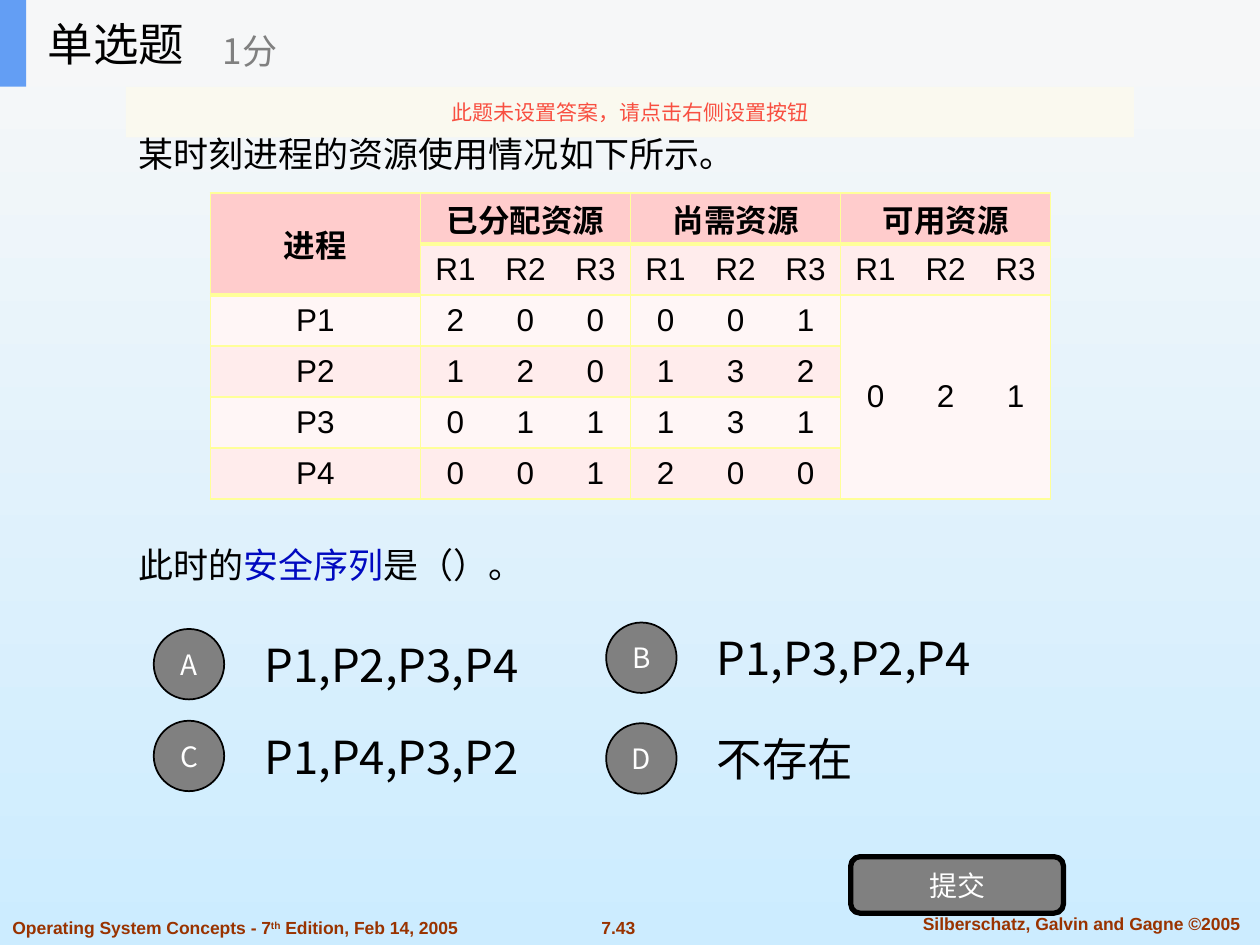
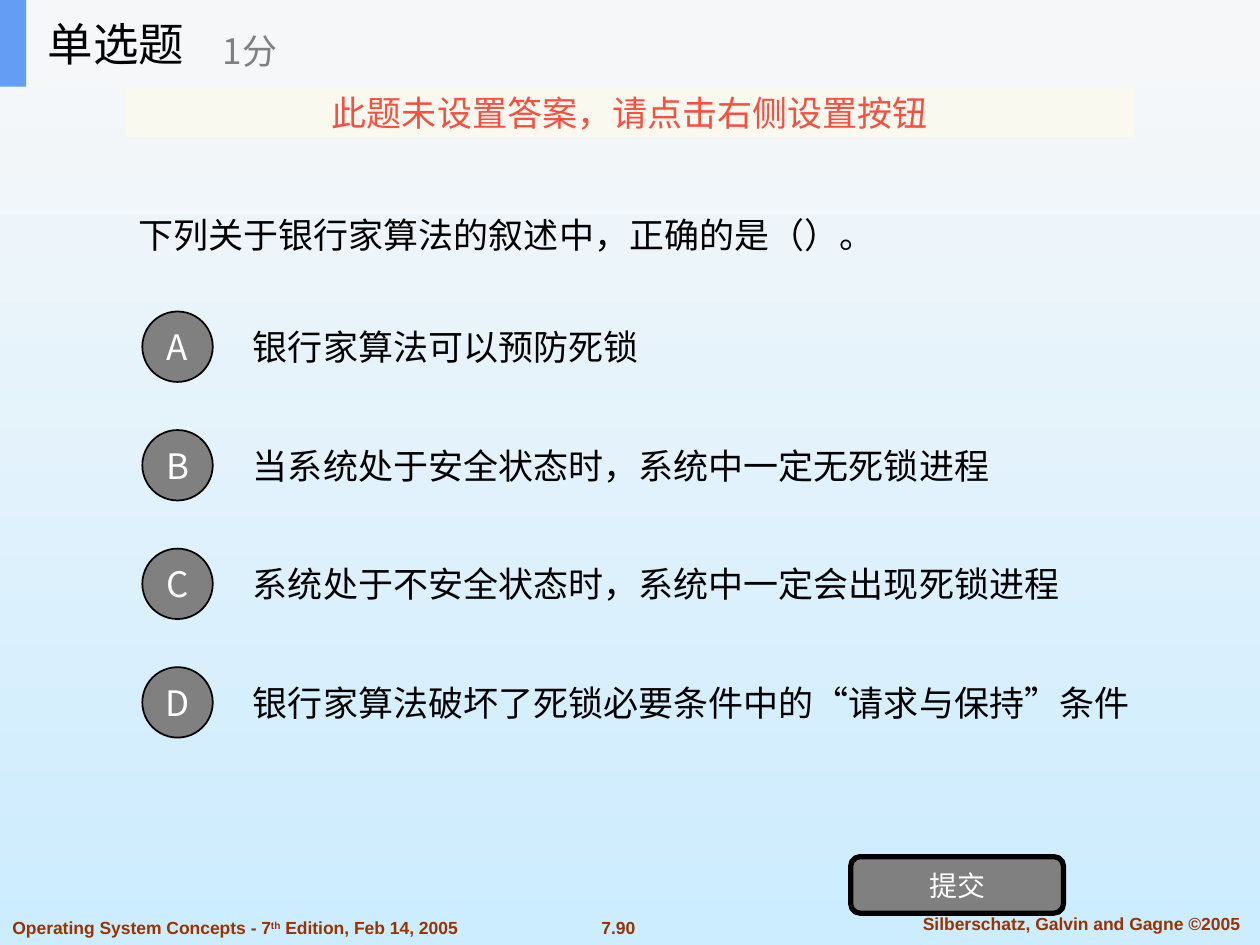
from lxml.etree import SubElement
from pptx import Presentation
from pptx.dml.color import RGBColor
from pptx.enum.shapes import MSO_SHAPE
from pptx.enum.text import MSO_ANCHOR, PP_ALIGN
from pptx.oxml.ns import qn
from pptx.util import Cm, Pt

RECT, ROUND, OVAL = MSO_SHAPE.RECTANGLE, MSO_SHAPE.ROUNDED_RECTANGLE, MSO_SHAPE.OVAL
LEFT, CENTER = PP_ALIGN.LEFT, PP_ALIGN.CENTER
TOP, MIDDLE = MSO_ANCHOR.TOP, MSO_ANCHOR.MIDDLE

SANS, ARIAL = "Noto Sans CJK SC", "Arial"
BLACK, WHITE, GRAY = "000000", "FFFFFF", "808080"
BROWN, BLUE, RED = "993300", "0009C0", "F84F41"
BAND, BAR, CREAM = "F6F7F8", "639EF4", "FBFAEF"
PINK, PALE, FAINT, YELLOW = "FFCCCC", "FFECEC", "FFF6F6", "FFFF99"

WARNING = "此题未设置答案，请点击右侧设置按钮"
NEEDS = "\tR1\tR2\tR3"
ROWS = [
    ["进程", "已分配资源", "尚需资源", "可用资源"],
    ["", NEEDS, NEEDS, NEEDS],
    ["P1", "\t2\t0\t0", "\t0\t0\t1", "\t0\t2\t1"],
    ["P2", "\t1\t2\t0", "\t1\t3\t2", ""],
    ["P3", "\t0\t1\t1", "\t1\t3\t1", ""],
    ["P4", "\t0\t0\t1", "\t2\t0\t0", ""],
]
CHOICES = [
    ("A", "P1,P2,P3,P4", 3.1, 12.5, 5.9),
    ("B", "P1,P3,P2,P4", 12.22, 12.37, 5.9),
    ("C", "P1,P4,P3,P2", 3.1, 14.35, 5.9),
    ("D", "不存在", 12.22, 14.4, 3.43),
]
CLAIMS = [
    ("A", "银行家算法可以预防死锁", 17.78),
    ("B", "当系统处于安全状态时，系统中一定无死锁进程", 17.78),
    ("C", "系统处于不安全状态时，系统中一定会出现死锁进程", 17.78),
    ("D", "银行家算法破坏了死锁必要条件中的“请求与保持”条件", 19.08),
]


def hue(code):
    return RGBColor.from_string(code)


def style(para, size, color=BLACK, face=SANS, bold=False, align=LEFT):
    para.alignment = align
    font = para.font
    font.size, font.bold, font.name = Pt(size), bold, face
    font.color.rgb = hue(color)
    SubElement(para._p.pPr.find(qn("a:defRPr")), qn("a:ea"), typeface=SANS)


def fill_text(shape, text, size, color=BLACK, anchor=MIDDLE, wrap=True, **look):
    frame = shape.text_frame
    frame.word_wrap, frame.vertical_anchor = wrap, anchor
    frame.text = text
    style(frame.paragraphs[0], size, color, **look)
    return frame


def add_text(slide, box, text, size, color=BLACK, **look):
    shape = slide.shapes.add_textbox(*map(Cm, box))
    return fill_text(shape, text, size, color, **look)


def add_block(slide, kind, box, fill, edge=0):
    """Add a filled preset shape; edge is the width of its black line."""
    shape = slide.shapes.add_shape(kind, *map(Cm, box))
    shape.shadow.inherit = False
    shape.fill.solid()
    shape.fill.fore_color.rgb = hue(fill)
    if edge:
        shape.line.color.rgb = hue(BLACK)
        shape.line.width = Pt(edge)
    else:
        shape.line.fill.background()
    return shape


def add_head(slide, x, y, w, h):
    add_block(slide, RECT, (x, y, w, h), BAND)
    add_block(slide, RECT, (x, y, 0.53, h), BAR)
    title = slide.shapes.title
    title.left, title.top, title.width, title.height = map(Cm, (x + 0.71, y, 5.28, h))
    fill_text(title, "单选题", 26, wrap=False)
    title.element.getparent().append(title.element)  # in front of the band
    add_text(slide, (x + 4.24, y + 0.3, 6.35, 1.42), "1分", 20, GRAY, wrap=False)


def add_banner(slide, box, size):
    banner = add_block(slide, RECT, box, CREAM)
    tint = banner.element.spPr.find(".//" + qn("a:srgbClr"))
    SubElement(tint, qn("a:alpha"), val="90000")
    fill_text(banner, WARNING, size, RED, wrap=False, align=CENTER)


def add_foot(slide, y, page):
    look = dict(size=10, color=BROWN, face=ARIAL, bold=True)
    book = add_text(slide, (0, y, 10.64, 0.69), "Operating System Concepts - 7",
                    wrap=False, **look).paragraphs[0]
    raised = book.add_run()
    raised.text = "th"
    raised.font._element.set("baseline", "30000")
    book.add_run().text = " Edition, Feb 14, 2005"
    add_text(slide, (11.79, y, 1.35, 0.69), page, wrap=False, align=CENTER, **look)
    add_text(slide, (18.03, y - 0.08, 7.54, 0.69),
             "Silberschatz, Galvin and Gagne ©2005", align=CENTER, **look)


def add_frame(deck, page, size):
    """Start a question slide with its head, banner, button and footer."""
    slide = deck.slides.add_slide(deck.slide_layouts[5])
    add_head(slide, 0, 0, 25.4, 1.75)
    add_banner(slide, (2.54, 1.75, 20.32, 1.02), size)
    button = add_block(slide, ROUND, (17.15, 17.27, 4.29, 1.14), GRAY, 3)
    fill_text(button, "提交", 16, WHITE, wrap=False, align=CENTER)
    add_foot(slide, 18.36, page)
    return slide


def add_option(slide, x, y, w, mark, text, mark_size, size):
    disc = add_block(slide, OVAL, (x, y + 0.18, 1.42, 1.42), GRAY, 1)
    fill_text(disc, mark, mark_size, WHITE, wrap=False, align=CENTER)
    add_text(slide, (x + 1.98, y, w, 1.78), text, size)


def is_head(row, col):
    return row == 0 or (row, col) == (1, 0)


def edge_cell(cell, row, col):
    """Draw the cell borders, thick between head and body cells."""
    under = row > 0 and is_head(row - 1, col) and not is_head(row, col)
    widths = {"L": 1, "R": 1, "T": 3 if under else 1,
              "B": 3 if is_head(row, col) else 1}
    props = cell._tc.get_or_add_tcPr()
    for side, width in widths.items():
        line = SubElement(props, qn("a:ln" + side), w=str(Pt(width)))
        paint = SubElement(line, qn("a:solidFill"))
        SubElement(paint, qn("a:srgbClr"), val=YELLOW)


def set_tabs(para, width):
    """Centre three values in equal thirds of the cell."""
    stops = SubElement(para._p.get_or_add_pPr(), qn("a:tabLst"))
    for part in (1, 3, 5):
        SubElement(stops, qn("a:tab"), pos=str(int(width * part / 6)), algn="ctr")


def add_grid(slide, x, y, w, h):
    rows, cols = len(ROWS), len(ROWS[0])
    grid = slide.shapes.add_table(rows, cols, *map(Cm, (x, y, w, h))).table
    for r, texts in enumerate(ROWS):
        for c, text in enumerate(texts):
            cell = grid.cell(r, c)
            edge_cell(cell, r, c)
            cell.fill.solid()
            shade = PINK if is_head(r, c) else PALE if r % 2 else FAINT
            cell.fill.fore_color.rgb = hue(shade)
            cell.vertical_anchor = MIDDLE
            cell.margin_left = cell.margin_right = 0
            cell.margin_top = cell.margin_bottom = Cm(0.05)
            if text:
                cell.text = text
                para = cell.text_frame.paragraphs[0]
                tabbed = "\t" in text
                if tabbed:
                    set_tabs(para, grid.columns[c].width)
                style(para, 18, face=ARIAL, bold=is_head(r, c),
                      align=LEFT if tabbed else CENTER)
    grid.cell(0, 0).merge(grid.cell(1, 0))
    grid.cell(2, 3).merge(grid.cell(5, 3))


def resource_slide(deck):
    slide = add_frame(deck, "7.43", 12)
    frame = add_text(slide, (2.54, 2.54, 20.32, 9.7),
                     "某时刻进程的资源使用情况如下所示。", 20, anchor=TOP)
    ask = frame.add_paragraph()
    for part in ("此时的", "安全序列", "是（）。"):
        ask.add_run().text = part
    ask.runs[1].font.color.rgb = hue(BLUE)
    ask.space_before = Pt(211)
    style(ask, 20)
    add_grid(slide, 4.24, 3.89, 16.94, 6.17)
    for mark, text, x, y, w in CHOICES:
        add_option(slide, x, y, w, mark, text, 16, 26)


def banker_slide(deck):
    slide = add_frame(deck, "7.90", 20)
    add_text(slide, (2.54, 1.75, 20.32, 5.94),
             "下列关于银行家算法的叙述中，正确的是（）。", 20)
    for i, (mark, text, w) in enumerate(CLAIMS):
        add_option(slide, 2.87, 6.1 + 2.39 * i, w, mark, text, 20, 20)


def main():
    deck = Presentation()
    deck.slide_width, deck.slide_height = Cm(25.4), Cm(19.05)
    sky = deck.slide_master.background.fill
    sky.gradient()
    sky.gradient_angle = 270
    for stop, code in zip(sky.gradient_stops, ("F8F8F8", "CCECFF")):
        stop.color.rgb = hue(code)
    resource_slide(deck)
    banker_slide(deck)
    deck.save("out.pptx")


if __name__ == "__main__":
    main()
